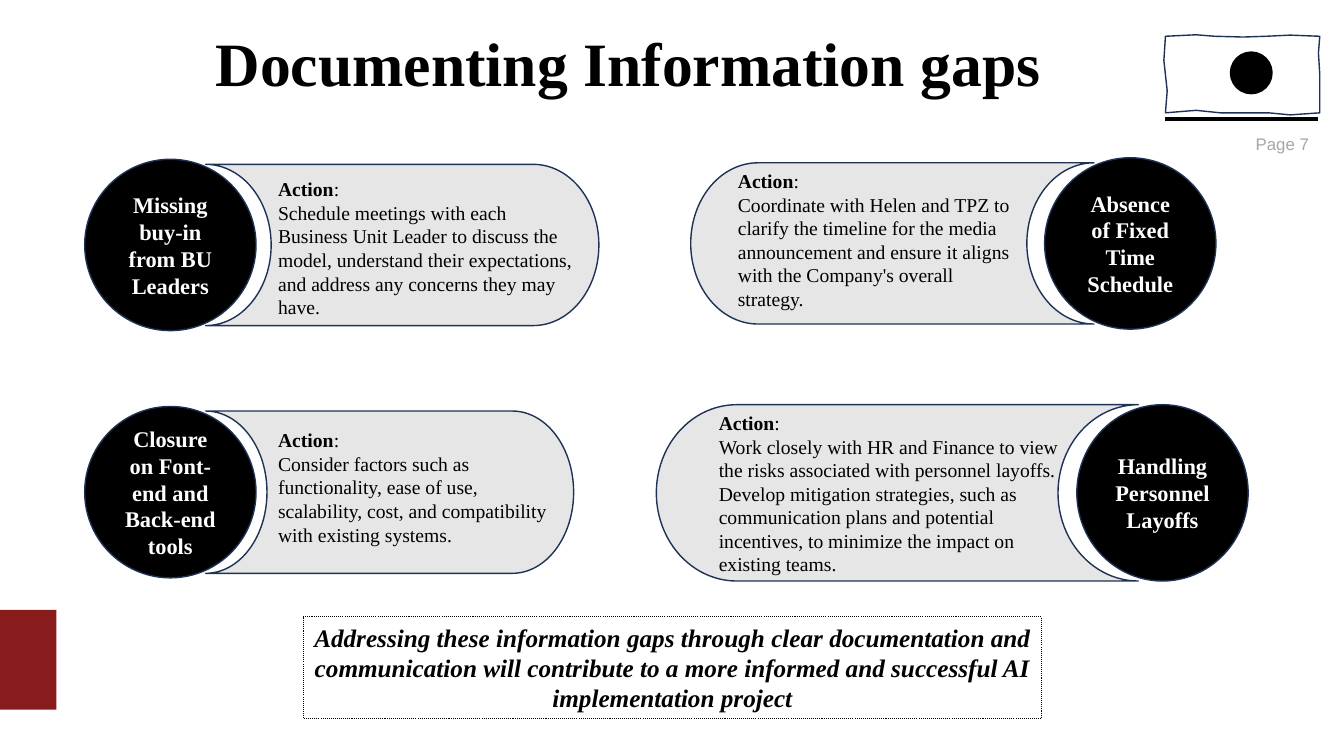
from dataclasses import dataclass

from lxml.etree import SubElement
from pptx import Presentation
from pptx.dml.color import RGBColor
from pptx.enum.dml import MSO_LINE
from pptx.enum.shapes import MSO_CONNECTOR, MSO_SHAPE
from pptx.enum.text import MSO_ANCHOR, PP_ALIGN
from pptx.oxml.ns import qn
from pptx.util import Inches, Pt

# Content: lengths are percentages of the slide's width and height
TITLE = "Documenting Information gaps"
PAGE = "Page 7"
CLOSING = ("Addressing these information gaps through clear documentation and communication "
           "will contribute to a more informed and successful AI implementation project")
GAPS = [
    dict(gap="Missing buy-in from BU Leaders", side="left", middle=32.4,
         disc=(6.3, 22.67), pod=(15.3, 29.26, 21.33), note=(19.95, 22.8, 23.78, 20.13),
         action=["Schedule meetings with each Business Unit Leader to discuss the model, "
                 "understand their expectations, and address any concerns they may have."]),
    dict(gap="Closure on Font-end and Back-end tools", side="left", middle=65.1,
         disc=(6.3, 22.67), pod=(15.3, 27.38, 21.47), note=(19.95, 56, 21.83, 17.07),
         action=["Consider factors such as functionality, ease of use,",
                 "scalability, cost, and compatibility with existing systems."]),
    dict(gap="Absence of Fixed Time Schedule", side="right", middle=32.2,
         disc=(77.72, 22.67), pod=(51.39, 30.01, 21.33), note=(54.16, 21.73, 21.83, 20.13),
         action=["Coordinate with Helen and TPZ to clarify the timeline for the media "
                 "announcement and ensure it aligns with the Company's overall strategy."]),
    dict(gap="Handling Personnel Layoffs", side="right", middle=65.2,
         disc=(80.12, 23.33), pod=(48.84, 35.86, 23.33), note=(52.74, 53.73, 28.21, 23.33),
         action=["Work closely with HR and Finance to view the risks associated with personnel "
                 "layoffs. Develop mitigation strategies, such as communication plans and "
                 "potential incentives, to minimize the impact on existing teams."]),
]
DISC_WIDTH = 12.75
FRAME = [(86.72, 4.8), (89, 4.6), (90.4, 4.8), (92.5, 4.9), (94.2, 4.8), (96, 4.65),
         (98.2, 4.8), (98.1, 7), (98.2, 9.9), (98.2, 14.93), (96, 15.2), (94.4, 14.93),
         (90.8, 14.93), (89, 14.6), (86.72, 14.93), (86.85, 12), (86.6, 8)]


@dataclass(frozen=True)
class Theme:
    serif: str = "Times New Roman"
    sans: str = "Arial"
    black: str = "000000"
    white: str = "FFFFFF"
    navy: str = "1E3256"
    grey: str = "E7E6E6"
    muted: str = "A6A6A6"
    red: str = "881C1C"
    title: int = 44
    closing: int = 18
    gap: int = 16
    action: int = 14
    page: int = 12


theme = Theme()
deck = Presentation()
deck.slide_width, deck.slide_height = Inches(13.33), Inches(7.5)
slide = deck.slides.add_slide(deck.slide_layouts[6])


def across(share):
    return round(deck.slide_width * share / 100)


def down(share):
    return round(deck.slide_height * share / 100)


def place(left, top, width, height):
    return across(left), down(top), across(width), down(height)


def paint(shape, fill=None, line=None, weight=1):
    shape.shadow.inherit = False
    if fill:
        shape.fill.solid()
        shape.fill.fore_color.rgb = RGBColor.from_string(fill)
    else:
        shape.fill.background()
    if line:
        shape.line.color.rgb = RGBColor.from_string(line)
        shape.line.width = Pt(weight)
    else:
        shape.line.fill.background()
    return shape


def add_shape(kind, box, **look):
    return paint(slide.shapes.add_shape(kind, *place(*box)), **look)


def write(holder, paragraphs, size, font=theme.serif, color=theme.black, bold=False,
          italic=False, align=PP_ALIGN.LEFT, anchor=MSO_ANCHOR.MIDDLE, spacing=None):
    """Each paragraph is a string or a list of (text, bold) pairs."""
    frame = holder.text_frame
    frame.word_wrap = True
    frame.vertical_anchor = anchor
    for i, content in enumerate(paragraphs):
        para = frame.add_paragraph() if i else frame.paragraphs[0]
        para.alignment = align
        para.line_spacing = spacing
        for text, strong in [(content, bold)] if isinstance(content, str) else content:
            run = para.add_run()
            run.text = text
            run.font.name, run.font.size = font, Pt(size)
            run.font.bold, run.font.italic = strong, italic
            run.font.color.rgb = RGBColor.from_string(color)


def add_text(box, paragraphs, size, **form):
    write(slide.shapes.add_textbox(*place(*box)), paragraphs, size, **form)


# Side band, title, page number
add_shape(MSO_SHAPE.RECTANGLE, (0, 80.67, 4.2, 13.2), fill=theme.red)
add_text((15.3, 2.27, 80.42, 13.07), [TITLE], theme.title, bold=True, spacing=0.9)
add_text((86.8, 16.4, 11.33, 5.33), [PAGE], theme.page, font=theme.sans,
         color=theme.muted, align=PP_ALIGN.RIGHT)

# Gaps: a disc and a pod share one middle line, the pod's hollow faces the disc
for item in GAPS:
    disc_left, disc_height = item["disc"]
    pod_left, pod_width, pod_height = item["pod"]
    disc = add_shape(MSO_SHAPE.OVAL,
                     (disc_left, item["middle"] - disc_height / 2, DISC_WIDTH, disc_height),
                     fill=theme.black, line=theme.navy)
    write(disc, [item["gap"]], theme.gap, color=theme.white, bold=True, align=PP_ALIGN.CENTER)
    pod = add_shape(MSO_SHAPE.FLOWCHART_STORED_DATA,
                    (pod_left, item["middle"] - pod_height / 2, pod_width, pod_height),
                    fill=theme.grey, line=theme.navy)
    pod.rotation = 180 if item["side"] == "left" else 0
    add_text(item["note"], [[("Action", True), (":", False)], *item["action"]],
             theme.action, anchor=MSO_ANCHOR.TOP)

# Closing statement
closing = add_shape(MSO_SHAPE.RECTANGLE, (22.58, 81.6, 54.91, 13.47),
                    line=theme.black, weight=0.75)
closing.line.dash_style = MSO_LINE.ROUND_DOT
write(closing, [CLOSING], theme.closing, bold=True, italic=True,
      align=PP_ALIGN.CENTER, anchor=MSO_ANCHOR.TOP)

# Hand-drawn frame with a plain mark, and the rule below it
corners = [(across(x), down(y)) for x, y in FRAME]
outline = slide.shapes.build_freeform(*corners[0])
outline.add_line_segments(corners[1:], close=True)
paint(outline.convert_to_shape(), fill=theme.white, line=theme.navy)
add_shape(MSO_SHAPE.OVAL, (91.5, 6.8, 3.2, 5.69), fill=theme.black)
rule = slide.shapes.add_connector(MSO_CONNECTOR.STRAIGHT, across(86.72), down(15.73),
                                  across(98.05), down(15.73))
rule.line.color.rgb = RGBColor.from_string(theme.black)
rule.line.width = Pt(2.5)
SubElement(rule.element.spPr, qn("a:effectLst"))

deck.save("out.pptx")
